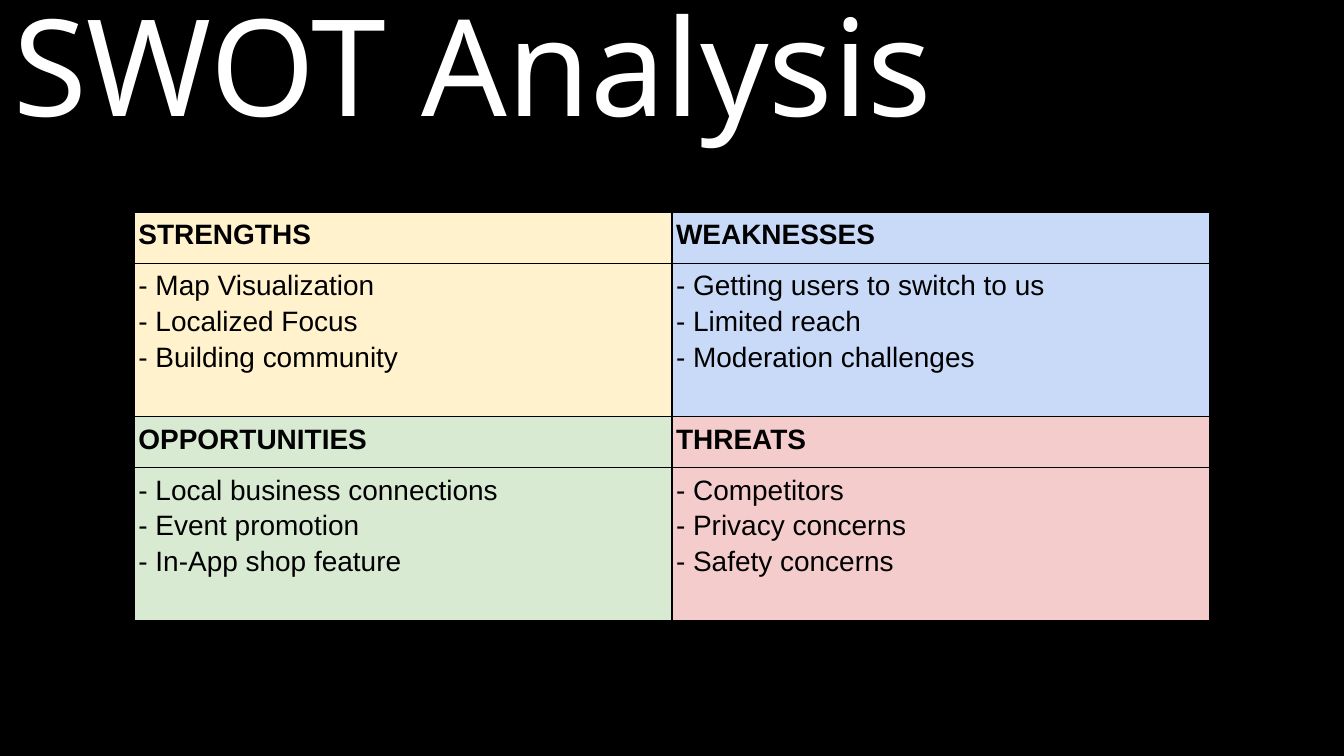
from dataclasses import dataclass

from lxml.etree import SubElement
from pptx import Presentation
from pptx.dml.color import RGBColor
from pptx.enum.text import MSO_ANCHOR
from pptx.oxml.ns import qn
from pptx.slide import Slide
from pptx.table import Table, _Cell as Cell
from pptx.util import Inches, Pt

COLORS = {
    "black": "000000",
    "white": "FFFFFF",
    "yellow": "FFF2CC",
    "blue": "C9DAF8",
    "green": "D9EAD3",
    "red": "F4CCCC",
}
SLIDE_WIDTH = 10
COLUMN_WIDTH = 4
HEADING_HEIGHT = 0.38
BODY_HEIGHT = 1.14


@dataclass
class Quadrant:
    heading: str
    points: list[str]
    color: str


QUADRANTS = [
    Quadrant("STRENGTHS", ["Map Visualization", "Localized Focus", "Building community"], "yellow"),
    Quadrant("WEAKNESSES", ["Getting users to switch to us", "Limited reach", "Moderation challenges"], "blue"),
    Quadrant("OPPORTUNITIES", ["Local business connections", "Event promotion", "In-App shop feature"], "green"),
    Quadrant("THREATS", ["Competitors", "Privacy concerns", "Safety concerns"], "red"),
]


def rgb(name: str) -> RGBColor:
    return RGBColor.from_string(COLORS[name])


def add_borders(cell: Cell) -> None:
    properties = cell._tc.get_or_add_tcPr()
    for index, side in enumerate(("a:lnL", "a:lnR", "a:lnT", "a:lnB")):
        line = properties.makeelement(qn(side), {"w": str(Pt(0.75))})
        fill = SubElement(line, qn("a:solidFill"))
        SubElement(fill, qn("a:srgbClr"), val=COLORS["black"])
        properties.insert(index, line)


def fill_cell(cell: Cell, lines: list[str], color: str, bold: bool) -> None:
    cell.margin_left = cell.margin_right = Inches(0.03)
    cell.margin_top = cell.margin_bottom = Inches(0.02)
    cell.fill.solid()
    cell.fill.fore_color.rgb = rgb(color)
    add_borders(cell)
    cell.text = "\n".join(lines)
    for paragraph in cell.text_frame.paragraphs:
        paragraph.line_spacing = 1.15
        paragraph.font.name = "Arial"
        paragraph.font.size = Pt(15)
        paragraph.font.bold = bold
        paragraph.font.color.rgb = rgb("black")


def fill_quadrant(table: Table, index: int, quadrant: Quadrant) -> None:
    band, column = divmod(index, 2)
    row = band * 2
    fill_cell(table.cell(row, column), [quadrant.heading], quadrant.color, True)
    points = [f"- {point}" for point in quadrant.points]
    fill_cell(table.cell(row + 1, column), points, quadrant.color, False)


def add_title(slide: Slide, text: str) -> None:
    title = slide.shapes.add_textbox(0, 0, Inches(SLIDE_WIDTH), Inches(2.88))
    frame = title.text_frame
    frame.word_wrap = True
    frame.vertical_anchor = MSO_ANCHOR.TOP
    frame.margin_left = frame.margin_right = Inches(0.1)
    frame.margin_top = frame.margin_bottom = Inches(0.1)
    paragraph = frame.paragraphs[0]
    paragraph.text = text
    paragraph.line_spacing = 0.8
    paragraph.font.name = "Noto Sans"
    paragraph.font.size = Pt(72)
    paragraph.font.color.rgb = rgb("white")


def add_swot_table(slide: Slide) -> None:
    height = 2 * (HEADING_HEIGHT + BODY_HEIGHT)
    table = slide.shapes.add_table(
        4, 2, Inches(1), Inches(1.58), Inches(2 * COLUMN_WIDTH), Inches(height)
    ).table
    table.first_row = False
    table.horz_banding = False
    for column in table.columns:
        column.width = Inches(COLUMN_WIDTH)
    for index, row in enumerate(table.rows):
        row.height = Inches(BODY_HEIGHT if index % 2 else HEADING_HEIGHT)
    for index, quadrant in enumerate(QUADRANTS):
        fill_quadrant(table, index, quadrant)


def main() -> None:
    presentation = Presentation()
    presentation.slide_width = Inches(SLIDE_WIDTH)
    presentation.slide_height = Inches(SLIDE_WIDTH * 9 / 16)
    slide = presentation.slides.add_slide(presentation.slide_layouts[6])
    slide.background.fill.solid()
    slide.background.fill.fore_color.rgb = rgb("black")
    add_title(slide, "SWOT Analysis")
    add_swot_table(slide)
    presentation.save("out.pptx")


if __name__ == "__main__":
    main()
